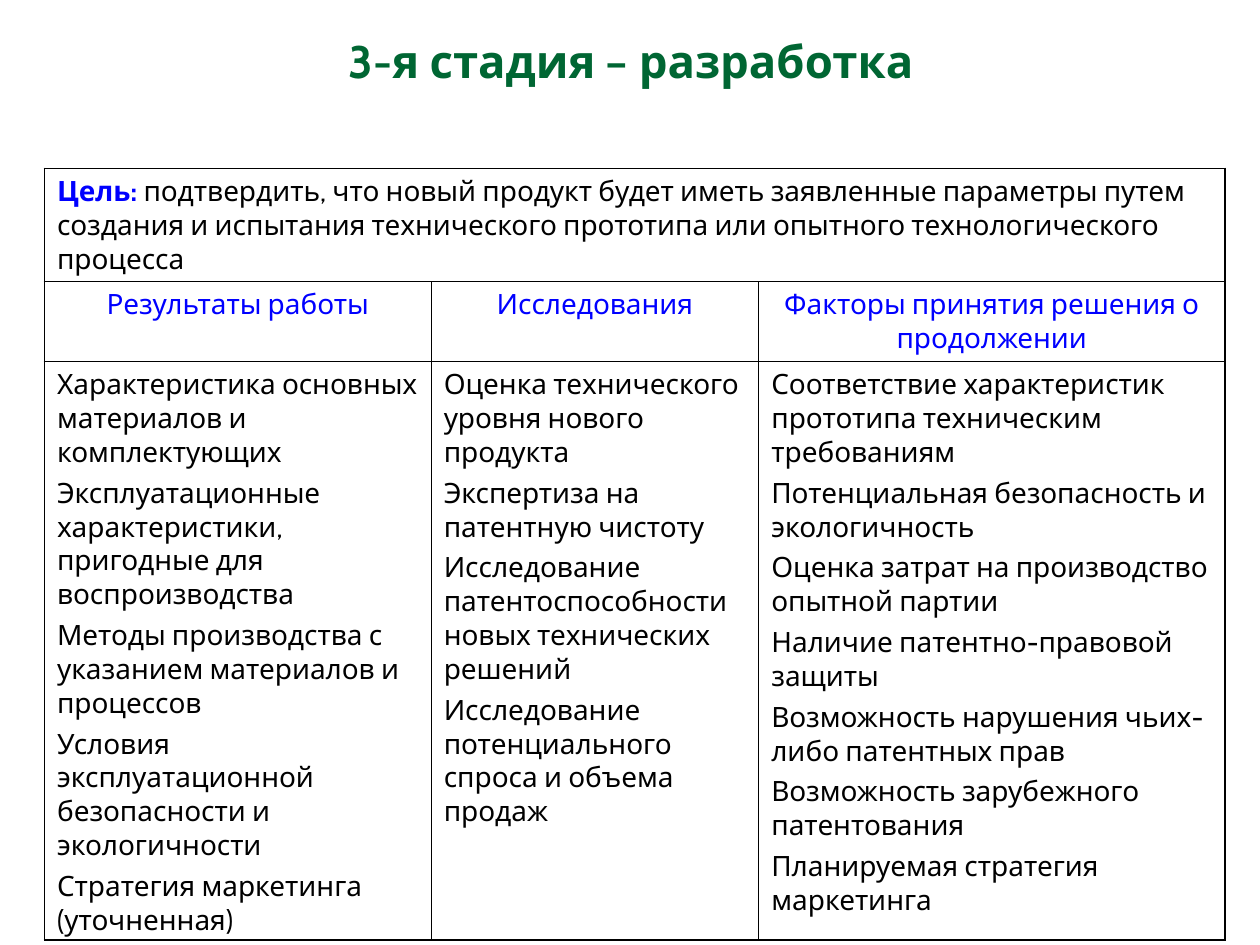
from lxml import etree
from pptx import Presentation
from pptx.dml.color import RGBColor
from pptx.enum.text import MSO_ANCHOR, PP_ALIGN
from pptx.oxml.ns import qn
from pptx.util import Pt

CENTER, LEFT = PP_ALIGN.CENTER, PP_ALIGN.LEFT
TOP = MSO_ANCHOR.TOP
GREEN = RGBColor(0x00, 0x66, 0x33)
BLUE = RGBColor(0x00, 0x00, 0xFF)
BLACK = RGBColor(0x00, 0x00, 0x00)
FONT = "Cabin"
OUTER, INNER = 1.08, 0.45

TITLE_FORMAT = {"name": FONT, "size": Pt(26), "bold": True}
LABEL_FORMAT = {"name": FONT, "size": Pt(16), "bold": True}
BODY_FORMAT = {"name": FONT, "size": Pt(16), "bold": False}

GOAL = [
    ("Цель:", LABEL_FORMAT, BLUE),
    (" подтвердить, что новый продукт будет иметь заявленные параметры путем "
     "создания и испытания технического прототипа или опытного "
     "технологического процесса", BODY_FORMAT, BLACK),
]
COLUMNS = {
    "Результаты работы": [
        "Характеристика основных материалов и комплектующих",
        "Эксплуатационные характеристики, пригодные для воспроизводства",
        "Методы производства с указанием материалов и процессов",
        "Условия эксплуатационной безопасности и экологичности",
        "Стратегия маркетинга (уточненная)",
    ],
    "Исследования": [
        "Оценка технического уровня нового продукта",
        "Экспертиза на патентную чистоту",
        "Исследование патентоспособности новых технических решений",
        "Исследование потенциального спроса и объема продаж",
    ],
    "Факторы принятия решения о продолжении": [
        "Соответствие характеристик прототипа техническим требованиям",
        "Потенциальная безопасность и экологичность",
        "Оценка затрат на производство опытной партии",
        "Наличие патентно-правовой защиты",
        "Возможность нарушения чьих-либо патентных прав",
        "Возможность зарубежного патентования",
        "Планируемая стратегия маркетинга",
    ],
}
COLUMN_WIDTHS = [221, 187.2, 266.4]
ROW_HEIGHTS = [64.8, 45.5, 330.5]


def write_paragraphs(text_frame, paragraphs, alignment):
    """Each paragraph is a list of (text, format, color) runs."""
    for index, runs in enumerate(paragraphs):
        if index == 0:
            paragraph = text_frame.paragraphs[0]
        else:
            paragraph = text_frame.add_paragraph()
            paragraph.space_before = Pt(4)
        paragraph.alignment = alignment
        for text, format_values, color in runs:
            run = paragraph.add_run()
            run.text = text
            for attribute, value in format_values.items():
                setattr(run.font, attribute, value)
            run.font.color.rgb = color


def set_borders(cell, widths):
    """Border lines go before the fill, in the order left, right, top, bottom."""
    properties = cell._tc.get_or_add_tcPr()
    for position, (tag, width) in enumerate(widths.items()):
        line = etree.Element(qn("a:" + tag), w=str(Pt(width)))
        if width:
            fill = etree.SubElement(line, qn("a:solidFill"))
            etree.SubElement(fill, qn("a:srgbClr"), val=str(BLACK))
        else:
            etree.SubElement(line, qn("a:noFill"))
        properties.insert(position, line)


presentation = Presentation()
presentation.slide_width, presentation.slide_height = Pt(720), Pt(540)
slide = presentation.slides.add_slide(presentation.slide_layouts[6])

# Title
title = slide.shapes.add_textbox(Pt(36.7), Pt(15.1), Pt(648), Pt(90))
title.text_frame.word_wrap = True
title.text_frame.vertical_anchor = TOP
write_paragraphs(title.text_frame,
                 [[("3-я стадия – разработка", TITLE_FORMAT, GREEN)]], CENTER)

# Table grid
table = slide.shapes.add_table(3, 3, Pt(25.4), Pt(96.2), Pt(sum(COLUMN_WIDTHS)),
                               Pt(sum(ROW_HEIGHTS))).table
table.first_row = table.horz_banding = False
for column, width in zip(table.columns, COLUMN_WIDTHS):
    column.width = Pt(width)
for row, height in zip(table.rows, ROW_HEIGHTS):
    row.height = Pt(height)
table.cell(0, 0).merge(table.cell(0, 2))

# Goal across the top, headings and lists below
write_paragraphs(table.cell(0, 0).text_frame, [GOAL], LEFT)
for column_index, (heading, items) in enumerate(COLUMNS.items()):
    write_paragraphs(table.cell(1, column_index).text_frame,
                     [[(heading, BODY_FORMAT, BLUE)]], CENTER)
    write_paragraphs(table.cell(2, column_index).text_frame,
                     [[(item, BODY_FORMAT, BLACK)] for item in items], LEFT)

# Fills and borders: thicker on the outside of the table
for row_index in range(3):
    for column_index in range(3):
        cell = table.cell(row_index, column_index)
        cell.fill.background()
        cell.margin_left = cell.margin_right = Pt(7.2)
        cell.margin_top = cell.margin_bottom = Pt(3.6)
        between = 0 if cell.is_spanned else INNER
        at_right = column_index == 2 or cell.is_merge_origin
        set_borders(cell, {
            "lnL": OUTER if column_index == 0 else between,
            "lnR": OUTER if at_right else between,
            "lnT": OUTER if row_index == 0 else INNER,
            "lnB": OUTER if row_index == 2 else INNER,
        })

presentation.save("out.pptx")
